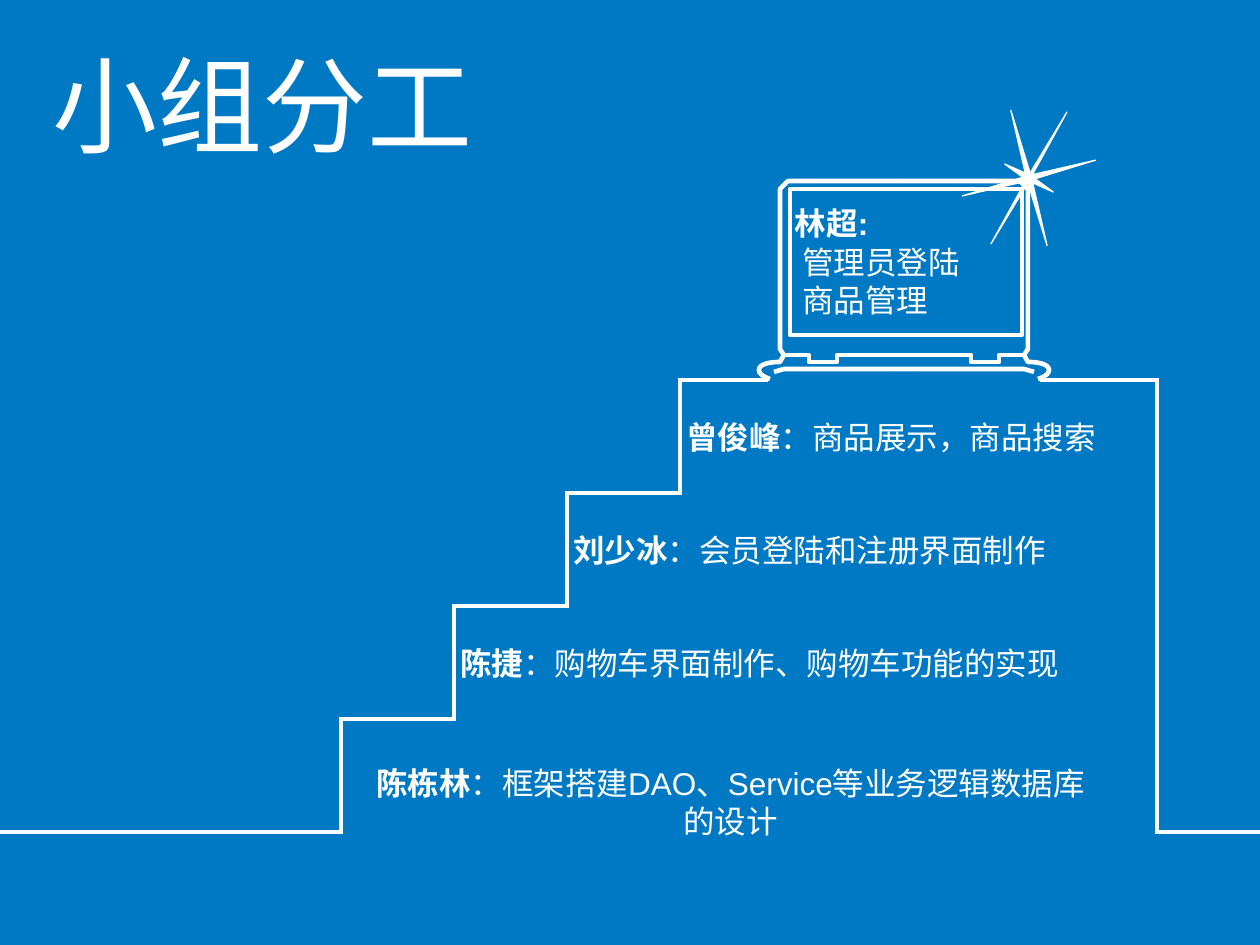
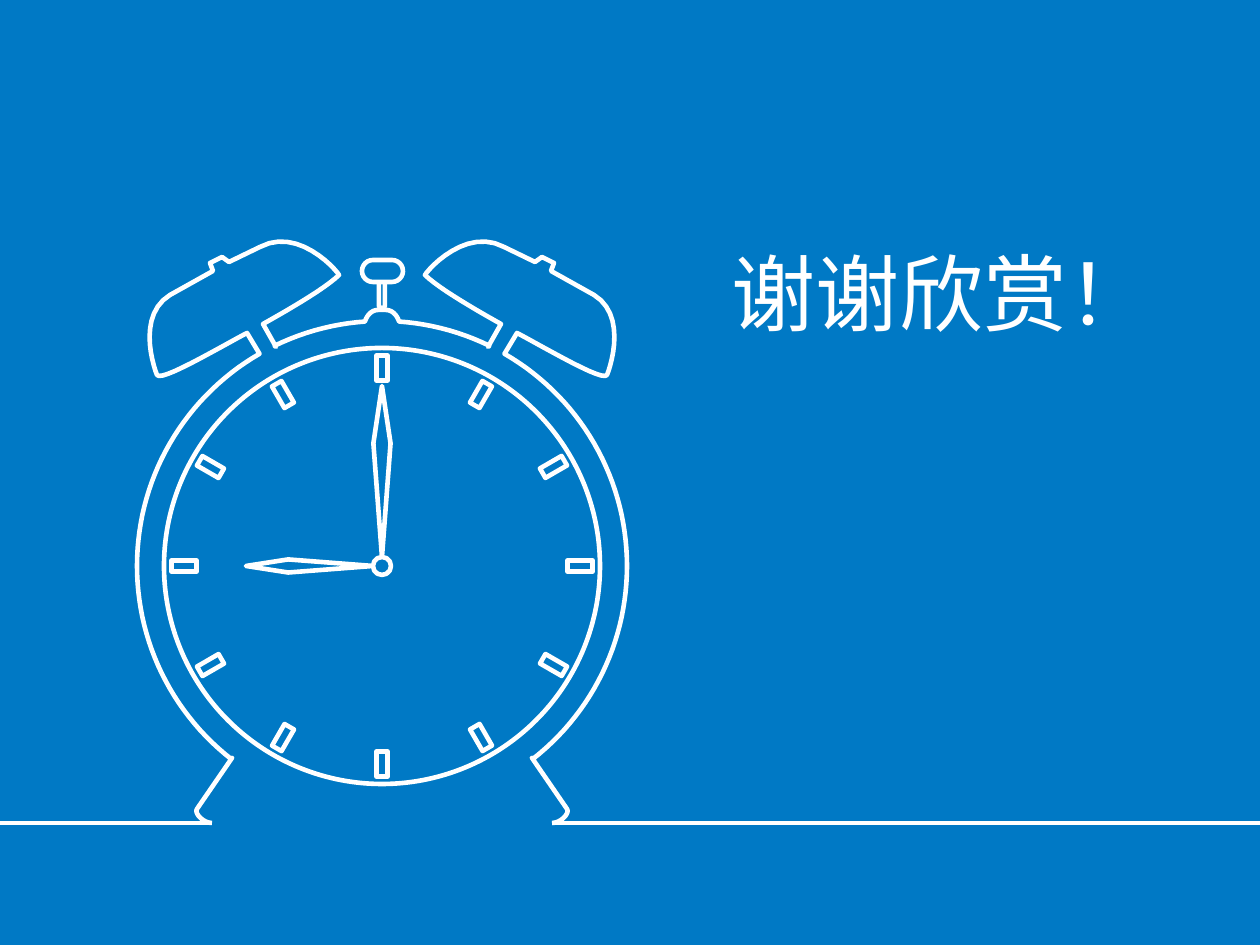
from math import cos, radians, sin

from pptx import Presentation
from pptx.dml.color import RGBColor as Rgb
from pptx.enum.shapes import MSO_CONNECTOR as Link, MSO_SHAPE as Kind
from pptx.enum.text import MSO_ANCHOR as Anchor, PP_ALIGN as Align
from pptx.oxml.ns import qn
from pptx.util import Pt
from lxml import etree

# Shared look: lengths are px, 126 to the inch
UNIT = 914400 / 126
WIDE, HIGH = 1260, 945
BLUE, WHITE = "0079C5", "FFFFFF"
FONT = "Arial"
STROKE = 2.64

# Text on the slides
TITLE = "小组分工"
LEADER = "林超: "
DUTY = "管理员登陆\n商品管理"
BASE = ("陈栋林", "：框架搭建DAO、Service等业务逻辑数据库的设计")
STEPS = [
    ("陈捷", "：购物车界面制作、购物车功能的实现"),
    ("刘少冰", "：会员登陆和注册界面制作"),
    ("曾俊峰", "：商品展示，商品搜索"),
]
THANKS = "谢谢欣赏！"

# Stairs: first riser, floor, step size, far wall
FOOT, FLOOR, STEP, WALL = 341, 832, 113, 1157

# Half outlines, mirrored about an axis: a pair is a straight run,
# six numbers are a cubic curve, three are an arc (radius, from, to)
MID = 904
SCREEN = (790, 189, 232, 146)
LAPTOP = [
    [(MID, 181), (788, 181), (780, 189), (780, 349), (784, 355), (780, 362),
     (767, 362, 759, 365, 759, 370), (759, 374, 764, 377, 770, 379)],
    [(781, 355), (809, 355), (809, 362), (837, 362), (837, 355), (MID, 355)],
    [(774, 372), (784, 369), (MID, 369)],
]

# Sparkle: angle, length, width; each ray has an opposite
SPARK = (1029, 178)
RAYS = [(75, 69, 5), (165, 70, 5), (120, 28, 6), (30, 76, 3)]

# Alarm clock
HUB = (382, 566)
RIM, DIAL, PIN = 245, 436, 18
TICK, REACH = (11, 25), 198
GROUND = 823
KNOB = (362, 260, 41, 22)
CLOCK = [
    [(212, GROUND), (203, 823, 194, 813, 197, 809), (232, 758),
     (RIM, -142, -30), (247, 333), (215, 350, 161, 382, 157, 375),
     (151, 360, 139, 314, 170, 295), (213, 271), (210, 263), (222, 257),
     (229, 262), (260, 247), (297, 227, 335, 268, 339, 275),
     (325, 289, 281, 314, 263, 324), (276, 347), (RIM, -26, -4),
     (367, 315, 372, 310, 378, 310), (HUB[0], 310)],
    [(379, 282), (379, 306), (HUB[0], 310)],
]
HANDS = [(0, 180, 123), (270, 136, 94)]  # angle, tip, shoulder


def px(*nums):
    return [round(n * UNIT) for n in nums]


def tint(code):
    return Rgb.from_string(code)


def style(item, fill=None, width=STROKE):
    item.shadow.inherit = False
    if fill:
        item.fill.solid()
        item.fill.fore_color.rgb = tint(fill)
    else:
        item.fill.background()
    item.line.color.rgb = tint(WHITE)
    item.line.width = Pt(width)
    return item


def shape(slide, kind, box, turn=0, **look):
    item = style(slide.shapes.add_shape(kind, *px(*box)), **look)
    item.rotation = turn
    return item


def polar(hub, reach, turn):
    """Point at a distance from the hub, angle clockwise from the top."""
    angle = radians(turn)
    return hub[0] + reach * sin(angle), hub[1] - reach * cos(angle)


def spoke(slide, kind, hub, reach, size, turn, **look):
    wide, tall = size
    x, y = polar(hub, reach, turn)
    shape(slide, kind, (x - wide / 2, y - tall / 2, wide, tall), turn, **look)


def disc(slide, size, **look):
    spoke(slide, Kind.OVAL, HUB, 0, (size, size), 0, **look)


def line(slide, *ends):
    item = slide.shapes.add_connector(Link.STRAIGHT, *px(*ends))
    item.line.color.rgb = tint(WHITE)
    item.line.width = Pt(STROKE)
    etree.SubElement(item._element.spPr, qn("a:effectLst"))


def bend(start, curve, parts=12):
    """Sample a cubic curve as short straight runs."""
    knots = [start, curve[:2], curve[2:4], curve[4:]]
    for i in range(1, parts + 1):
        t = i / parts
        u = 1 - t
        mix = (u ** 3, 3 * u * u * t, 3 * u * t * t, t ** 3)
        yield tuple(sum(m * k[axis] for m, k in zip(mix, knots)) for axis in (0, 1))


def flat(track):
    """Turn runs, arcs and curves into plain points."""
    dots = [track[0]]
    for part in track[1:]:
        if len(part) == 2:
            dots.append(part)
        elif len(part) == 3:
            reach, first, last = part
            dots += [polar(HUB, reach, turn) for turn in range(first, last + 1, 2)]
        else:
            dots += bend(dots[-1], part)
    return dots


def trace(slide, dots, close=False):
    pen = slide.shapes.build_freeform(*px(*dots[0]))
    pen.add_line_segments([px(*dot) for dot in dots[1:]], close=close)
    style(pen.convert_to_shape())


def twin(slide, tracks, axis):
    """Draw each half outline and its mirror."""
    for track in tracks:
        dots = flat(track)
        trace(slide, dots)
        trace(slide, [(2 * axis - x, y) for x, y in dots])


def write(slide, lead, body, box, size=18, mid=False):
    frame = slide.shapes.add_textbox(*px(*box)).text_frame
    frame.word_wrap = True
    frame.vertical_anchor = Anchor.MIDDLE
    para = frame.paragraphs[0]
    para.alignment = Align.CENTER if mid else Align.LEFT
    for text, bold in ((lead, True), (body, False)):
        for row, words in enumerate(text.split("\n")):
            if row:
                para.add_line_break()
            if words:
                run = para.add_run()
                run.text = words
                font = run.font
                font.name, font.size, font.bold = FONT, Pt(size), bold
                font.color.rgb = tint(WHITE)


def page(deck):
    slide = deck.slides.add_slide(deck.slide_layouts[6])
    slide.background.fill.solid()
    slide.background.fill.fore_color.rgb = tint(BLUE)
    return slide


def team(slide):
    # Stairs, with one text on each step above the base
    count = len(STEPS) + 1
    top = FLOOR - count * STEP
    line(slide, 0, FLOOR, FOOT, FLOOR)
    line(slide, WALL, FLOOR, WIDE, FLOOR)
    line(slide, WALL, top - 2, WALL, FLOOR + 2)
    for i in range(count):
        x, y = FOOT + i * STEP, FLOOR - i * STEP
        line(slide, x, y + 2, x, y - STEP - 2)
        end = x + STEP if i < count - 1 else 768
        line(slide, x, y - STEP, end, y - STEP)
        if i:
            box = (x - 6, y - STEP, WALL - x - 10, STEP)
            write(slide, *STEPS[i - 1], box)
    line(slide, 2 * MID - 768, top, WALL, top)

    # Laptop
    shape(slide, Kind.RECTANGLE, SCREEN)
    twin(slide, LAPTOP, MID)

    # Sparkle
    for turn, tall, wide in RAYS:
        for face in (turn, turn + 180):
            spoke(slide, Kind.ISOSCELES_TRIANGLE, SPARK, tall / 2, (wide, tall),
                  face, fill=WHITE, width=0.75)

    # Title, leader and base
    write(slide, "", TITLE, (35, 13, 455, 180), size=60, mid=True)
    write(slide, LEADER, "", (735, 190, 202, 66), mid=True)
    write(slide, "", DUTY, (790, 231, 276, 100))
    write(slide, *BASE, (359, 754, 743, 96), mid=True)


def thanks(slide):
    # Ground, dial and hour marks
    x = HUB[0]
    line(slide, 0, GROUND, 212, GROUND)
    line(slide, 2 * x - 212, GROUND, WIDE, GROUND)
    disc(slide, DIAL)
    for hour in range(12):
        spoke(slide, Kind.RECTANGLE, HUB, REACH, TICK, hour * 30)

    # Body, bells and knob
    twin(slide, CLOCK, x)
    knob = shape(slide, Kind.ROUNDED_RECTANGLE, KNOB)
    knob.adjustments[0] = 0.5

    # Hands
    for turn, tip, wing in HANDS:
        left, right = (polar(HUB, wing, turn + side) for side in (-4, 4))
        tail = polar(HUB, PIN / 2, turn)
        trace(slide, [polar(HUB, tip, turn), left, tail, right], close=True)
    disc(slide, PIN, fill=BLUE)

    write(slide, "", THANKS, (719, 227, 494, 130), size=48)


def main():
    deck = Presentation()
    deck.slide_width, deck.slide_height = px(WIDE, HIGH)
    team(page(deck))
    thanks(page(deck))
    deck.save("out.pptx")


if __name__ == "__main__":
    main()
